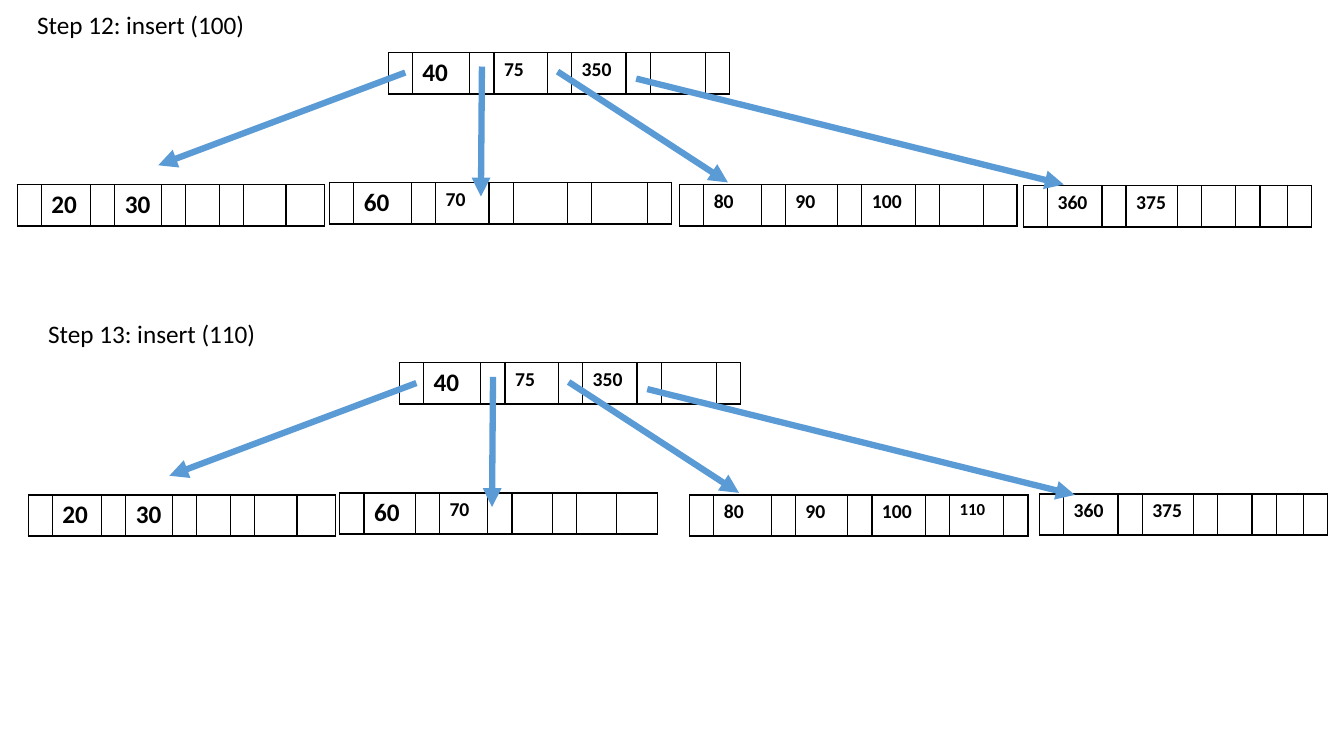
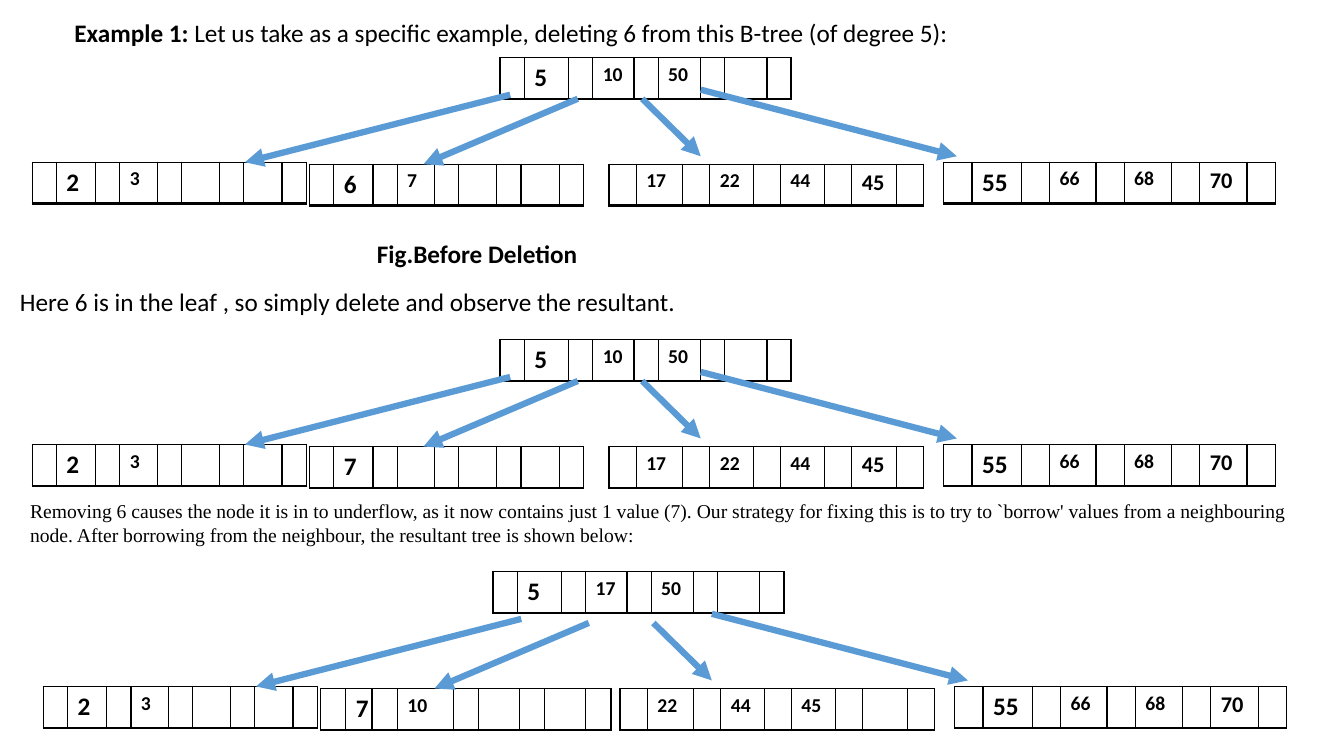
from lxml import etree
from pptx import Presentation
from pptx.dml.color import RGBColor
from pptx.enum.shapes import MSO_CONNECTOR
from pptx.enum.text import MSO_ANCHOR
from pptx.oxml.ns import qn
from pptx.util import Inches, Pt

BLACK, ARROW_BLUE = "000000", "5B9BD5"
BODY_FONT, SERIF_FONT = "Calibri", "Times New Roman"
ROW_HEIGHT = 0.41

# Node shapes: pointer width, four key widths, last pointer width
WIDE = (0.24, (0.57, 0.53, 0.54, 0.55), 0.23)
LEAF_20 = (0.23, (0.49, 0.46, 0.34, 0.42), 0.38)
LEAF_60 = (0.23, (0.51, 0.48, 0.40, 0.40), 0.40)
LEAF_80 = (0.23, (0.57, 0.52, 0.53, 0.44), 0.33)
LEAF_80_FULL = (0.23, (0.57, 0.52, 0.53, 0.54), 0.23)
LEAF_360 = (0.23, (0.54, 0.51, 0.34, 0.27), 0.23)
ROOT = (0.23, (0.44, 0.41, 0.42, 0.42), 0.23)
SMALL = (0.23, (0.39, 0.37, 0.38, 0.38), 0.23)
BORROWED = (0.25, (0.26, 0.56, 0.40, 0.41), 0.25)
MEDIUM = (0.27, (0.46, 0.43, 0.44, 0.44), 0.27)
LARGE = (0.28, (0.49, 0.46, 0.47, 0.47), 0.28)

# Arrows of each tree form, before the tree is shifted
INSERT_ARROWS = [((4.02, 0.72), (1.57, 1.64)), ((4.78, 0.66), (4.77, 1.95)),
                 ((5.53, 0.71), (7.22, 1.81)), ((6.31, 0.78), (10.55, 1.83))]
DELETE_ARROWS = [((5.06, 0.94), (2.43, 1.61)), ((5.73, 0.98), (4.20, 1.63)),
                 ((6.37, 0.98), (6.95, 1.55)), ((6.95, 0.89), (9.49, 1.55))]

# Keys are (text, size); nodes are (left, top, shape, keys) before the shift
INSERT_ROOT = (3.85, 0.52, WIDE, [("40", 18), ("75", 14), ("350", 14)])
KEYS_20 = (0.17, 1.83, LEAF_20, [("20", 18), ("30", 18)])
KEYS_60 = [("60", 18), ("70", 14)]
KEYS_80 = [("80", 14), ("90", 14), ("100", 14)]
KEYS_360 = [("360", 14), ("375", 14)]
DELETE_ROOT = (4.96, 0.57, ROOT, [("5", 18), ("10", 14), ("50", 14)])
KEYS_2 = (0.32, 1.61, SMALL, [("2", 18), ("3", 14)])
KEYS_17 = (6.04, 1.63, MEDIUM, [("17", 14), ("22", 14), ("44", 14), ("45", 16)])
KEYS_55 = (9.36, 1.61, LARGE, [("55", 18), ("66", 14), ("68", 14), ("70", 16)])

# Texts are (left, top, width, height, runs of (text, bold), size, font)
SLIDES = [
    {
        "texts": [
            (0.27, 0.04, 6.44, 0.40, [("Step 12: insert (100)", False)], 18, BODY_FONT),
            (0.38, 3.11, 6.44, 0.40, [("Step 13: insert (110)", False)], 18, BODY_FONT),
        ],
        "trees": [
            ((0, 0), INSERT_ARROWS, [
                INSERT_ROOT, KEYS_20,
                (3.27, 1.81, WIDE, KEYS_60),
                (6.74, 1.83, LEAF_80, KEYS_80),
                (10.15, 1.84, LEAF_360, KEYS_360)]),
            ((0.11, 3.08), INSERT_ARROWS, [
                INSERT_ROOT, KEYS_20,
                (3.26, 1.81, LEAF_60, KEYS_60),
                (6.73, 1.83, LEAF_80_FULL, KEYS_80 + [("110", 12)]),
                (10.20, 1.82, LEAF_360, KEYS_360)]),
        ],
    },
    {
        "texts": [
            (0.64, 0.08, 11.50, 0.49,
             [("Example 1: ", True),
              ("Let us take as a specific example, deleting 6 from this B-tree (of degree 5):",
               False)], 18, BODY_FONT),
            (3.64, 2.31, 6.30, 0.40, [("Fig.Before Deletion", True)], 18, BODY_FONT),
            (0.10, 2.79, 12.84, 0.40,
             [("Here 6 is in the leaf , so simply delete and observe the resultant.", False)],
             18, BODY_FONT),
            (0.20, 4.90, 12.74, 0.57,
             [("Removing 6 causes the node it is in to underflow, as it now contains just "
               "1 value (7). Our strategy for fixing this is to try to `borrow' values from "
               "a neighbouring node. After borrowing from the neighbour, the resultant tree "
               "is shown below:", False)], 14, SERIF_FONT),
        ],
        "trees": [
            ((0, 0), DELETE_ARROWS, [
                DELETE_ROOT, KEYS_2,
                (3.07, 1.63, SMALL, [("6", 18), ("7", 14)]), KEYS_17, KEYS_55]),
            ((0, 2.8), DELETE_ARROWS, [
                DELETE_ROOT, KEYS_2,
                (3.07, 1.63, SMALL, [("7", 18)]), KEYS_17, KEYS_55]),
            ((0.11, 5.2), DELETE_ARROWS, [
                (4.78, 0.47, ROOT, [("5", 18), ("17", 14), ("50", 14)]), KEYS_2,
                (3.07, 1.63, BORROWED, [("7", 18), ("10", 14)]),
                (6.04, 1.63, MEDIUM, [("22", 14), ("44", 14), ("45", 14)]), KEYS_55]),
        ],
    },
]


def colour(value):
    return RGBColor.from_string(value)


def style_font(font, size, name=BODY_FONT):
    font.size, font.name = Pt(size), name
    font.color.rgb = colour(BLACK)


def add_text(page, left, top, width, height, runs, size, font_name):
    box = page.shapes.add_textbox(*map(Inches, (left, top, width, height)))
    frame = box.text_frame
    frame.word_wrap = True
    frame.vertical_anchor = MSO_ANCHOR.MIDDLE
    para = frame.paragraphs[0]
    style_font(para.font, size, font_name)
    for text, bold in runs:
        span = para.add_run()
        span.text = text
        span.font.bold = bold


def set_borders(cell):
    properties = cell._tc.get_or_add_tcPr()
    for position, (side, points) in enumerate((("L", 1), ("R", 1), ("T", 1), ("B", 2))):
        line = etree.Element(qn(f"a:ln{side}"), w=str(Pt(points)))
        fill = etree.SubElement(line, qn("a:solidFill"))
        etree.SubElement(fill, qn("a:srgbClr"), val=BLACK)
        properties.insert(position, line)


def add_node(page, left, top, shape, keys):
    """Draw a B-tree node: pointer cells alternating with key cells."""
    pointer, key_widths, last = shape
    widths = [width for key in key_widths for width in (pointer, key)] + [last]
    frame = page.shapes.add_table(1, len(widths), Inches(left), Inches(top),
                                  Inches(sum(widths)), Inches(ROW_HEIGHT))
    table = frame.table
    table.first_row = table.horz_banding = False
    table.rows[0].height = Inches(ROW_HEIGHT)
    key_cells = {2 * index + 1: key for index, key in enumerate(keys)}
    for column, width in enumerate(widths):
        table.columns[column].width = Inches(width)
        cell = table.cell(0, column)
        text, size = key_cells.get(column, ("", 18))
        cell.text = text
        para = cell.text_frame.paragraphs[0]
        style_font(para.font, size)
        para.font.bold = True
        cell.fill.background()
        set_borders(cell)


def add_arrow(page, start, end):
    arrow = page.shapes.add_connector(MSO_CONNECTOR.STRAIGHT, *map(Inches, start + end))
    arrow.line.color.rgb = colour(ARROW_BLUE)
    arrow.line.width = Pt(4.5)
    etree.SubElement(arrow.line._get_or_add_ln(), qn("a:tailEnd"), type="triangle")
    etree.SubElement(arrow._element.spPr, qn("a:effectLst"))


def add_tree(page, shift, arrows, nodes):
    dx, dy = shift
    for left, top, shape, keys in nodes:
        add_node(page, left + dx, top + dy, shape, keys)
    for start, end in arrows:
        add_arrow(page, *((x + dx, y + dy) for x, y in (start, end)))


def main():
    deck = Presentation()
    deck.slide_width, deck.slide_height = Inches(13.33), Inches(7.5)
    for content in SLIDES:
        page = deck.slides.add_slide(deck.slide_layouts[6])
        for text in content["texts"]:
            add_text(page, *text)
        for tree in content["trees"]:
            add_tree(page, *tree)
    deck.save("out.pptx")


if __name__ == "__main__":
    main()
